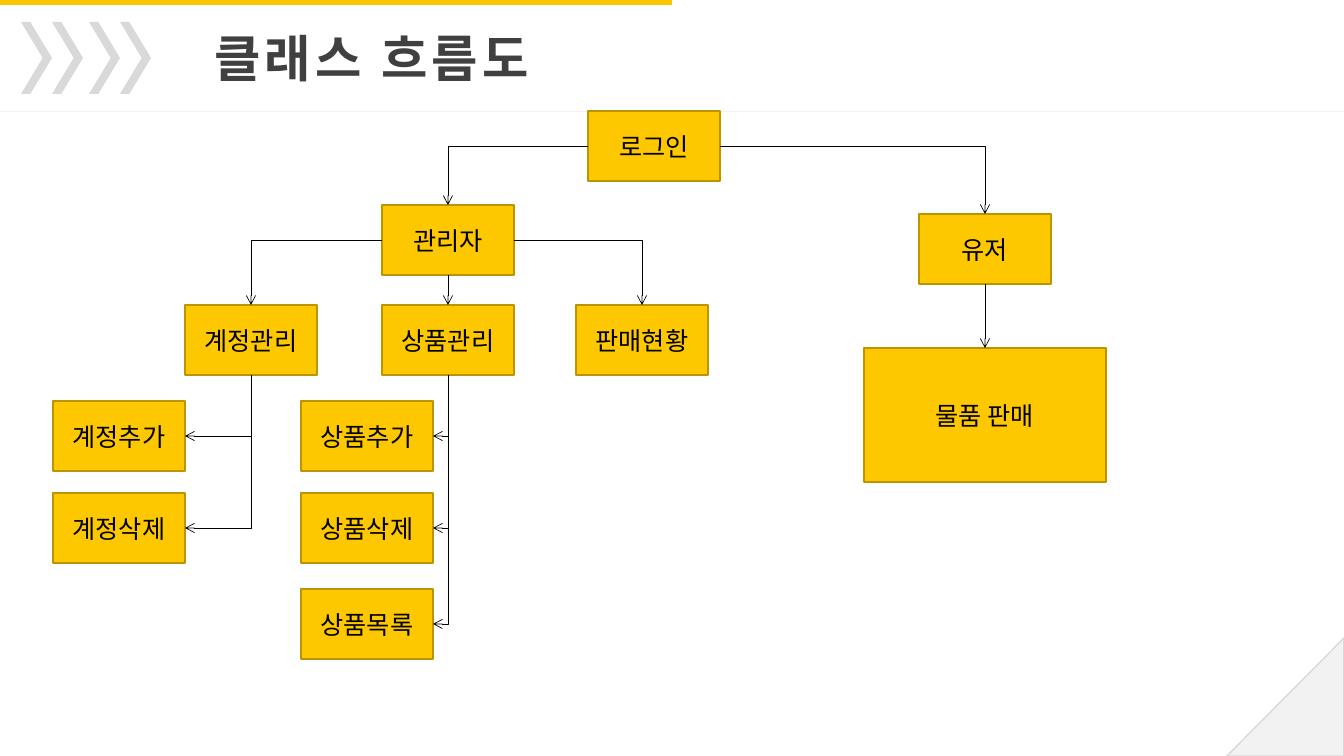
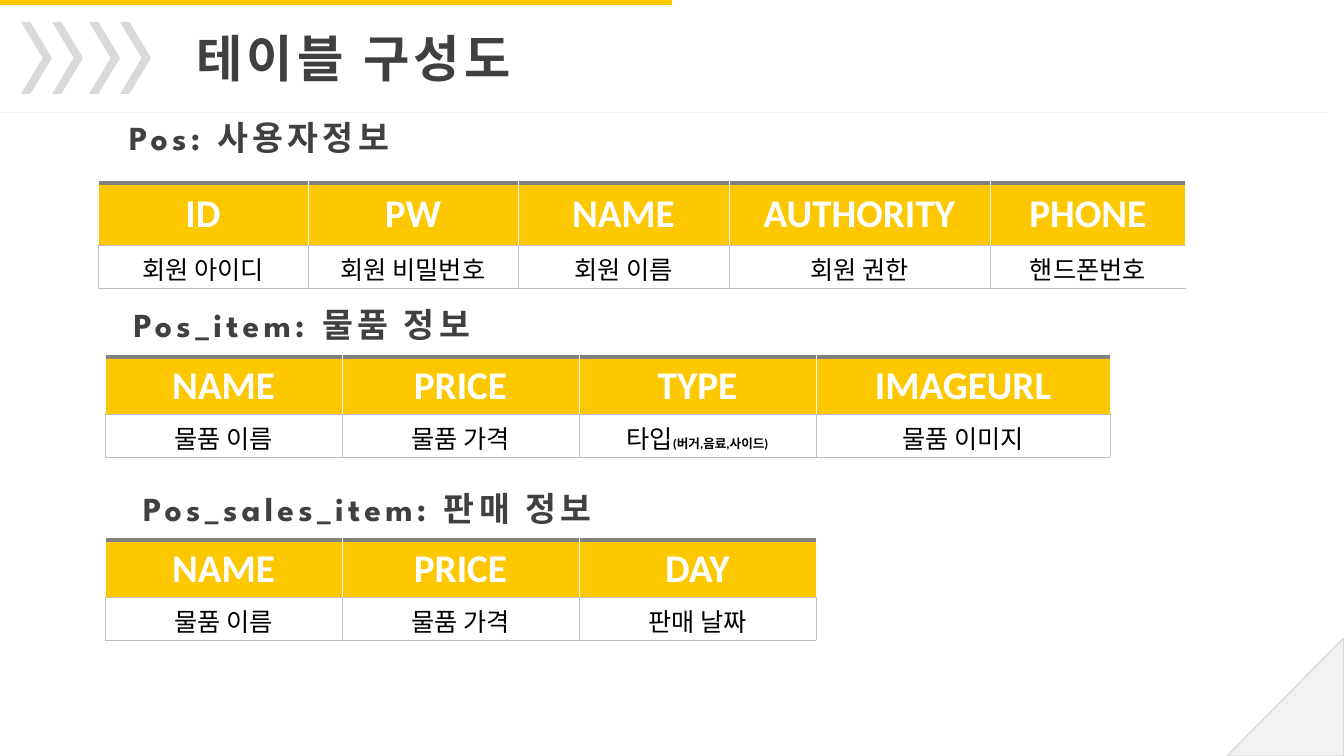
from lxml import etree
from pptx import Presentation
from pptx.dml.color import RGBColor
from pptx.enum.shapes import MSO_CONNECTOR, MSO_SHAPE
from pptx.enum.text import MSO_ANCHOR, MSO_AUTO_SIZE, PP_ALIGN
from pptx.oxml.ns import qn
from pptx.util import Emu, Pt

RECT, CHEVRON, TRIANGLE = MSO_SHAPE.RECTANGLE, MSO_SHAPE.CHEVRON, MSO_SHAPE.RIGHT_TRIANGLE
STRAIGHT, ELBOW = MSO_CONNECTOR.STRAIGHT, MSO_CONNECTOR.ELBOW
CENTER, RIGHT = PP_ALIGN.CENTER, PP_ALIGN.RIGHT
MIDDLE = MSO_ANCHOR.MIDDLE
FIT = MSO_AUTO_SIZE.SHAPE_TO_FIT_TEXT
BOTTOM_SITE, LEFT_SITE, TOP_SITE, RIGHT_SITE = 2, 1, 0, 3

SLIDE_W, SLIDE_H = 1344, 756
BOX_W, BOX_H = 132, 70
YELLOW, OCHRE, WHITE, BLACK = "FEC800", "BC9400", "FFFFFF", "000000"
PALE, LIGHT, SILVER, GRAY, DARK = "F2F2F2", "D9D9D9", "BFBFBF", "808080", "404040"
HEADING, BODY = "League Spartan", "Calibri"


def px(n):
    """Turn px into EMU."""
    return Emu(round(n * 914400 / 100.8))


def rgb(value):
    """Turn a hex string into a colour."""
    return RGBColor.from_string(value)


def add_run(p, text, size=18, color=BLACK, font=BODY, bold=False, spacing=0, align=CENTER):
    """Add formatted text to a paragraph."""
    p.alignment = align
    r = p.add_run()
    r.text = text
    r.font.size, r.font.name, r.font.bold = Pt(size), font, bold
    r.font.color.rgb = rgb(color)
    if spacing:
        r.font._element.set("spc", str(spacing * 100))


def add_box(shapes, kind, x, y, w, h, fill, line=None):
    """Add a filled preset shape."""
    sp = shapes.add_shape(kind, px(x), px(y), px(w), px(h))
    sp.shadow.inherit = False
    sp.fill.solid()
    sp.fill.fore_color.rgb = rgb(fill)
    if line:
        sp.line.color.rgb = rgb(line)
        sp.line.width = Pt(1)
    else:
        sp.line.fill.background()
    return sp


def add_line(s, kind, color, x1=0, y1=0, x2=0, y2=0):
    """Add a thin connector without a shadow."""
    cx = s.shapes.add_connector(kind, px(x1), px(y1), px(x2), px(y2))
    cx.line.color.rgb = rgb(color)
    cx.line.width = Pt(0.5)
    etree.SubElement(cx._element.spPr, qn("a:effectLst"))
    return cx


def add_heading(s, text, x, y, w, h, size, wrap):
    """Add a right-aligned, letter-spaced heading."""
    tf = s.shapes.add_textbox(px(x), px(y), px(w), px(h)).text_frame
    tf.word_wrap = wrap
    tf.auto_size = FIT
    add_run(tf.paragraphs[0], text, size=size, color=DARK, font=HEADING,
            bold=True, spacing=3, align=RIGHT)


def add_frame(prs, title, title_x, rule_y, rule_w):
    """Add a slide with the shared corner, band, title, rule and chevrons."""
    s = prs.slides.add_slide(prs.slide_layouts[6])
    corner = add_box(s.shapes, TRIANGLE, SLIDE_W - 117, SLIDE_H - 118, 117, 118, PALE, LIGHT)
    corner._element.spPr.xfrm.set("flipH", "1")
    add_box(s.shapes, RECT, 0, 0, SLIDE_W // 2, 5, YELLOW)
    add_heading(s, title, title_x, 22, 370, 72, 36, False)
    add_line(s, STRAIGHT, PALE, 0, rule_y, rule_w, rule_y)
    for pair_x in (21, 89):
        pair = s.shapes.add_group_shape()
        for i in range(2):
            add_box(pair.shapes, CHEVRON, pair_x + 31 * i, 22, 31, 72, LIGHT).adjustments[0] = 0.7
    return s


def add_node(s, text, x, y, w=BOX_W, h=BOX_H):
    """Add one labelled box of the flow chart."""
    sp = add_box(s.shapes, RECT, x, y, w, h, YELLOW, OCHRE)
    tf = sp.text_frame
    tf.vertical_anchor = MIDDLE
    add_run(tf.paragraphs[0], text)
    return sp


def add_arrow(s, parent, start, child, end):
    """Join two boxes with an arrow, bent once unless it runs straight down."""
    straight = start == BOTTOM_SITE and end == TOP_SITE
    cx = add_line(s, STRAIGHT if straight else ELBOW, BLACK)
    cx.begin_connect(parent, start)
    cx.end_connect(child, end)
    spPr = cx._element.spPr
    if not straight:
        spPr.find(qn("a:prstGeom")).set("prst", "bentConnector2")
    if end == RIGHT_SITE:
        x, y, w, h = cx.left, cx.top, cx.width, cx.height
        cx.left, cx.top = Emu(x + (w - h) // 2), Emu(y + (h - w) // 2)
        cx.width, cx.height = h, w
        spPr.xfrm.attrib.pop("flipH", None)
        spPr.xfrm.set("rot", "5400000")
    etree.SubElement(spPr.find(qn("a:ln")), qn("a:tailEnd"), type="arrow")


def add_border(cell, side, color, width):
    """Draw one side of a cell's border."""
    ln = etree.SubElement(cell._tc.get_or_add_tcPr(), qn("a:ln" + side), w=str(Pt(width)))
    fill = etree.SubElement(ln, qn("a:solidFill"))
    etree.SubElement(fill, qn("a:srgbClr"), val=color)


def add_schema(s, x, y, widths, heights, header, values, open_right=False):
    """Add a table of column names over their meanings."""
    shape = s.shapes.add_table(2, len(widths), px(x), px(y), px(sum(widths)), px(sum(heights)))
    table = shape.table
    table.horz_banding = False
    for column, w in zip(table.columns, widths):
        column.width = px(w)
    styles = (
        (header, YELLOW, {"size": 28, "color": WHITE, "bold": True},
         {"L": (WHITE, 0.5), "R": (WHITE, 0.5), "T": (GRAY, 3), "B": (SILVER, 0.5)}),
        (values, WHITE, {}, {side: (SILVER, 0.5) for side in "LRTB"}),
    )
    for row, (texts, fill, style, borders) in enumerate(styles):
        table.rows[row].height = px(heights[row])
        for col, text in enumerate(texts):
            cell = table.cell(row, col)
            cell.vertical_anchor = MIDDLE
            for side, (color, width) in borders.items():
                if not (open_right and side == "R" and col == len(widths) - 1):
                    add_border(cell, side, color, width)
            cell.fill.solid()
            cell.fill.fore_color.rgb = rgb(fill)
            main, *notes = text.split("|")
            p = cell.text_frame.paragraphs[0]
            add_run(p, main, **style)
            for note in notes:
                add_run(p, note, size=9, bold=True)


def build_flow(prs):
    """Build the class flow slide."""
    s = add_frame(prs, "클래스 흐름도", 169, 111, SLIDE_W)
    login = add_node(s, "로그인", 588, 111)
    admin = add_node(s, "관리자", 382, 205)
    user = add_node(s, "유저", 919, 214)
    accounts, goods, status = [
        add_node(s, text, x, 305)
        for text, x in (("계정관리", 185), ("상품관리", 382), ("판매현황", 576))]
    sale = add_node(s, "물품 판매", 864, 348, 242, 134)
    for parent, start, child in (
            (login, LEFT_SITE, admin), (login, RIGHT_SITE, user),
            (admin, LEFT_SITE, accounts), (admin, BOTTOM_SITE, goods),
            (admin, RIGHT_SITE, status), (user, BOTTOM_SITE, sale)):
        add_arrow(s, parent, start, child, TOP_SITE)
    for parent, x, texts in ((accounts, 53, ("계정추가", "계정삭제")),
                             (goods, 301, ("상품추가", "상품삭제", "상품목록"))):
        for text, y in zip(texts, (401, 493, 589)):
            add_arrow(s, parent, BOTTOM_SITE, add_node(s, text, x, y), RIGHT_SITE)


def build_tables(prs):
    """Build the table layout slide."""
    s = add_frame(prs, "테이블 구성도", 151, 112, 1328)
    add_heading(s, "Pos: 사용자정보", 2, 112, 397, 50, 24, True)
    add_schema(s, 98, 183, [210, 210, 211, 261, 196], [62, 43],
               ["ID", "PW", "NAME", "AUTHORITY", "PHONE"],
               ["회원 아이디", "회원 비밀번호", "회원 이름", "회원 권한", "핸드폰번호"],
               open_right=True)
    add_heading(s, "Pos_item: 물품 정보", 2, 299, 478, 50, 24, True)
    add_schema(s, 105, 357, [237, 237, 237, 294], [57, 43],
               ["NAME", "PRICE", "TYPE", "IMAGEURL"],
               ["물품 이름", "물품 가격", "타입|(버거,음료,사이드)", "물품 이미지"])
    add_heading(s, "Pos_sales_item: 판매 정보", 21, 483, 581, 50, 24, True)
    add_schema(s, 105, 540, [237] * 3, [57, 43],
               ["NAME", "PRICE", "DAY"], ["물품 이름", "물품 가격", "판매 날짜"])


def main():
    """Build and save the presentation."""
    prs = Presentation()
    prs.slide_width, prs.slide_height = px(SLIDE_W), px(SLIDE_H)
    build_flow(prs)
    build_tables(prs)
    prs.save("out.pptx")


if __name__ == "__main__":
    main()
